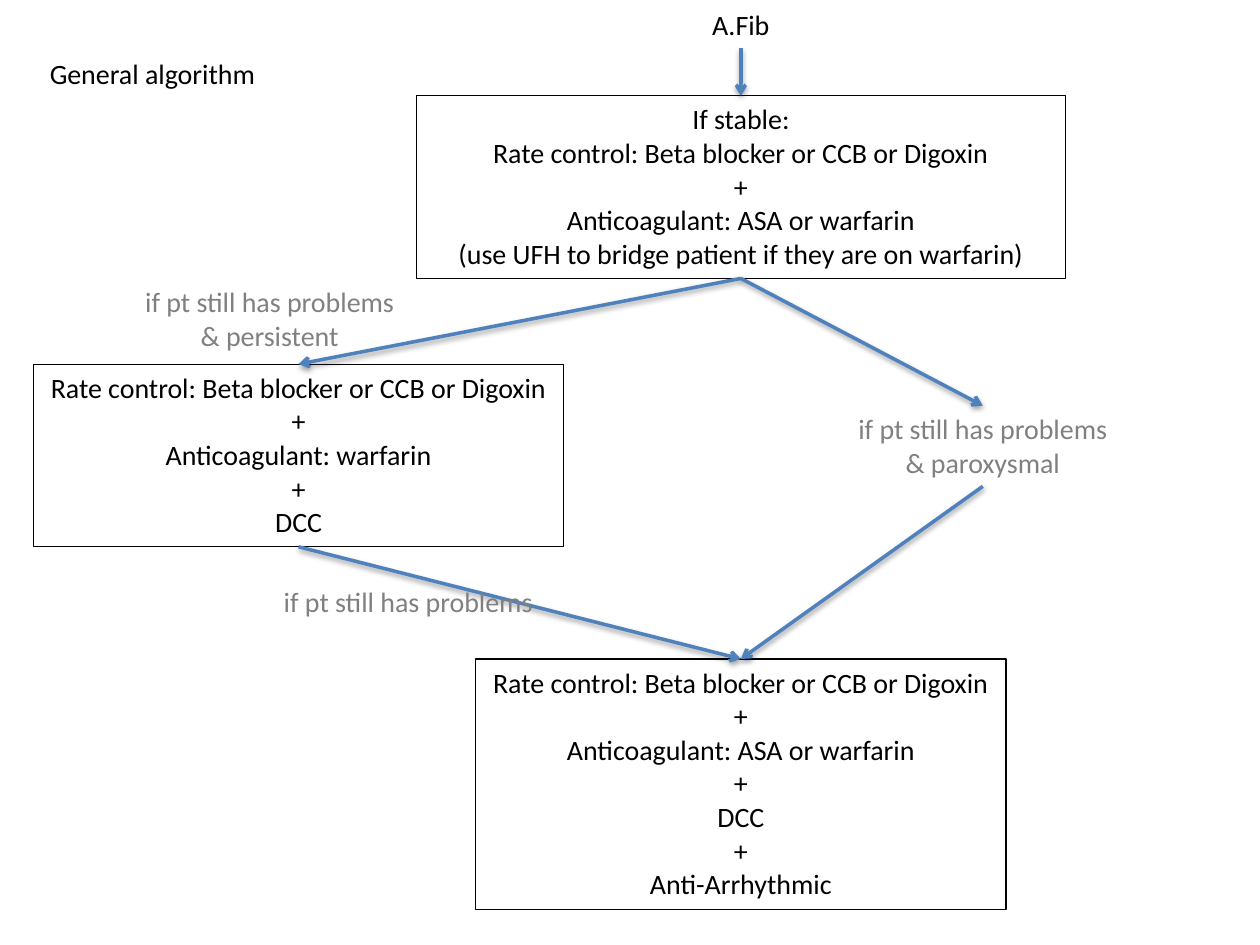
from dataclasses import dataclass

from lxml.etree import SubElement
from pptx import Presentation
from pptx.dml.color import RGBColor as RGB
from pptx.enum.shapes import MSO_CONNECTOR as Link
from pptx.enum.text import MSO_ANCHOR as Anchor, MSO_AUTO_SIZE as Fit, PP_ALIGN as Align
from pptx.oxml.ns import qn
from pptx.util import Inches, Pt


@dataclass(frozen=True)
class Theme:
    font: str = "Calibri"
    size: float = 16
    ink: RGB = RGB(0, 0, 0)
    note: RGB = RGB(0x80, 0x80, 0x80)
    arrow: RGB = RGB(0x4F, 0x81, 0xBD)
    edge: float = 0.75
    stroke: float = 2


THEME = Theme()
TOP, LEFT, BOTTOM, RIGHT = range(4)
MAIN, SIDE, BRANCH = 5.88, 2.37, 7.8  # column centres
RATE = "Rate control: Beta blocker or CCB or Digoxin"
ANTI = "Anticoagulant: ASA or warfarin"
STILL = "if pt still has problems"


def write(shape, lines, color):
    """Fill a shape with centred lines, one paragraph each."""
    frame = shape.text_frame
    frame.word_wrap = False
    frame.auto_size = Fit.NONE
    frame.vertical_anchor = Anchor.TOP
    for i, line in enumerate(lines):
        para = frame.add_paragraph() if i else frame.paragraphs[0]
        para.alignment = Align.CENTER
        run = para.add_run()
        run.text = line
        font = run.font
        font.name, font.size = THEME.font, Pt(THEME.size)
        font.color.rgb = color


def add_text(slide, lines, mid, top, width, color=THEME.ink):
    """Place text centred on mid, as tall as its lines need."""
    box = slide.shapes.add_textbox(
        Inches(mid - width / 2), Inches(top),
        Inches(width), Inches(0.1 + 0.27 * len(lines)))
    write(box, lines, color)
    return box


def add_step(slide, lines, mid, top, width=4.21):
    """Place an outlined treatment step."""
    box = add_text(slide, lines, mid, top, width)
    box.line.color.rgb = THEME.ink
    box.line.width = Pt(THEME.edge)
    return box


def add_note(slide, lines, mid, top):
    """Place a grey condition."""
    return add_text(slide, lines, mid, top, 2.21, THEME.note)


def add_arrow(slide, start, end):
    """Join the bottom of one box to the top of another."""
    line = slide.shapes.add_connector(Link.STRAIGHT, 0, 0, 0, 0)
    line.begin_connect(start, BOTTOM)
    line.end_connect(end, TOP)
    line.line.color.rgb = THEME.arrow
    line.line.width = Pt(THEME.stroke)
    # The theme's soft shadow is kept on the arrows
    SubElement(line.line._get_or_add_ln(), qn("a:tailEnd"), type="arrow")


def add_title(slide, text, left, top, width, height):
    title = slide.shapes.title
    title.left, title.top = Inches(left), Inches(top)
    title.width, title.height = Inches(width), Inches(height)
    write(title, [text], THEME.ink)


def add_flow(slide):
    # Steps
    start = add_text(slide, ["A.Fib"], MAIN, 0.01, 0.66)
    stable = add_step(slide, [
        "If stable:", RATE, "+", ANTI,
        "(use UFH to bridge patient if they are on warfarin)",
    ], MAIN, 0.76, 5.15)
    shock = add_step(slide, [RATE, "+", "Anticoagulant: warfarin", "+", "DCC"],
                     SIDE, 2.89)
    last = add_step(slide, [RATE, "+", ANTI, "+", "DCC", "+", "Anti-Arrhythmic"],
                    MAIN, 5.23)
    brief = add_note(slide, [STILL, "& paroxysmal"], BRANCH, 3.22)

    # Arrows
    for pair in ((start, stable), (stable, shock), (shock, last),
                 (stable, brief), (brief, last)):
        add_arrow(slide, *pair)

    # Conditions beside the arrows
    add_note(slide, [STILL, "& persistent"], 2.14, 2.21)
    add_note(slide, [STILL], 3.24, 4.59)


def main():
    deck = Presentation()
    deck.slide_width, deck.slide_height = Inches(10), Inches(7.5)
    slide = deck.slides.add_slide(deck.slide_layouts.get_by_name("Title Only"))
    add_title(slide, "General algorithm", 0.28, 0.4, 1.86, 0.37)
    add_flow(slide)
    deck.save("out.pptx")


if __name__ == "__main__":
    main()
